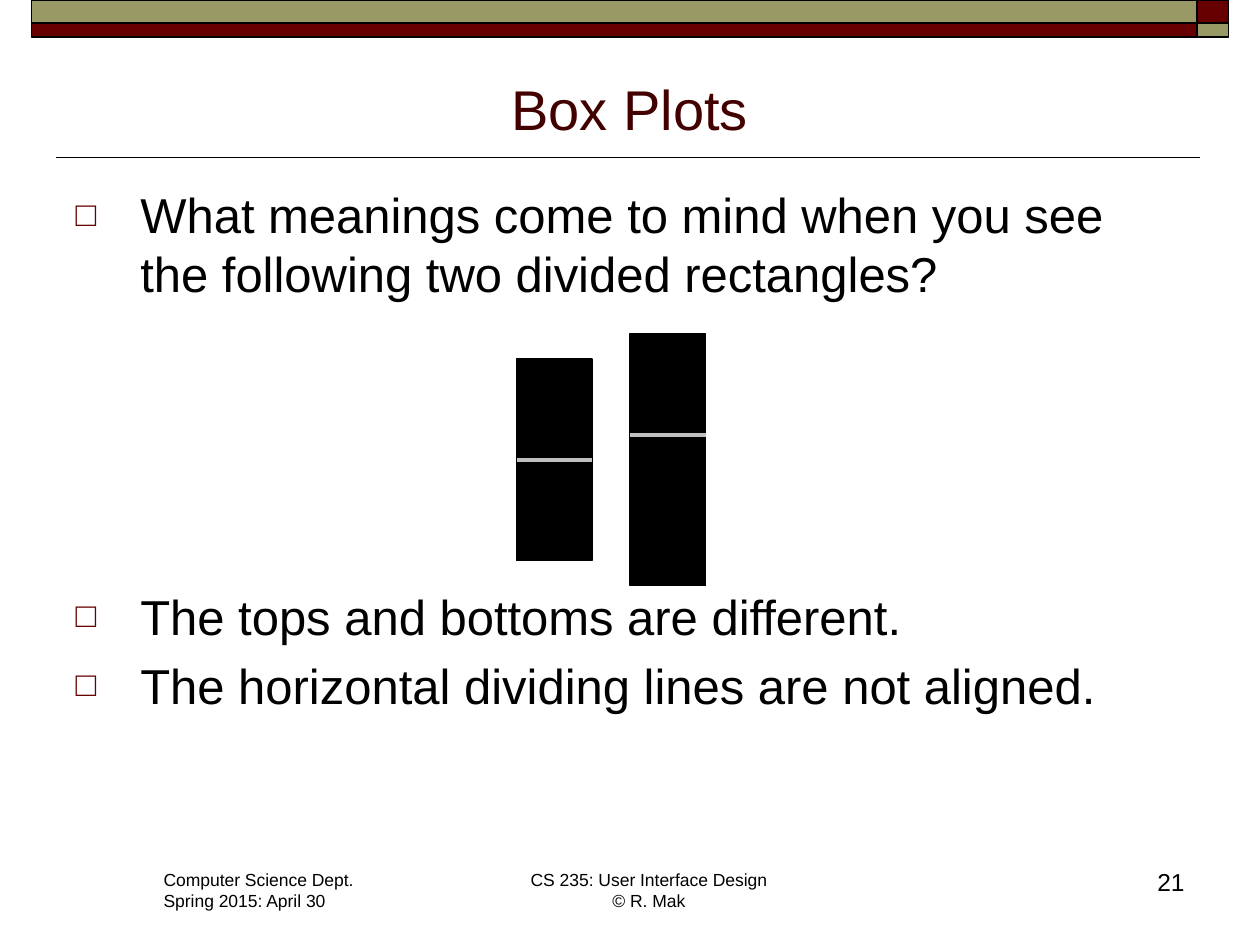
from lxml import etree
from pptx import Presentation
from pptx.dml.color import RGBColor
from pptx.enum import shapes, text
from pptx.oxml import ns
from pptx.util import Pt

BLACK = RGBColor(0, 0, 0)
WINE = RGBColor(0x66, 0, 0)
DARK = RGBColor(0x42, 0, 0)
OLIVE = RGBColor(0x99, 0x99, 0x66)
GRAY = RGBColor(0xBF, 0xBF, 0xBF)
FONT = "Arial"
ALIGN = text.PP_ALIGN

POINTS = (
    # text, space before
    ("What meanings come to mind when you see the following two divided rectangles?", 0),
    ("The tops and bottoms are different.", 162.4),
    ("The horizontal dividing lines are not aligned.", 5.6),
)


def add_rect(slide, x, y, w, h, fill, width):
    box = slide.shapes.add_shape(
        shapes.MSO_SHAPE.RECTANGLE, Pt(x), Pt(y), Pt(w), Pt(h))
    box.shadow.inherit = False
    box.fill.solid()
    box.fill.fore_color.rgb = fill
    box.line.color.rgb = BLACK
    box.line.width = Pt(width)


def add_line(slide, x, y, end, color, width):
    """Draw a level line from x to end."""
    line = slide.shapes.add_connector(
        shapes.MSO_CONNECTOR.STRAIGHT, Pt(x), Pt(y), Pt(end), Pt(y))
    line.line.color.rgb = color
    line.line.width = Pt(width)
    etree.SubElement(line._element.spPr, ns.qn("a:effectLst"))


def style(para, size, color, align):
    para.alignment = align
    for run in para.runs:
        run.font.name = FONT
        run.font.size = Pt(size)
        run.font.color.rgb = color


def add_note(slide, x, y, w, h, words, size, align, wrap=False):
    box = slide.shapes.add_textbox(Pt(x), Pt(y), Pt(w), Pt(h))
    frame = box.text_frame
    frame.word_wrap = wrap
    frame.text = words
    for para in frame.paragraphs:
        style(para, size, BLACK, align)


def place(holder, x, y, w, h, anchor):
    holder.left, holder.top = Pt(x), Pt(y)
    holder.width, holder.height = Pt(w), Pt(h)
    frame = holder.text_frame
    frame.auto_size = text.MSO_AUTO_SIZE.NONE
    frame.vertical_anchor = anchor
    return frame


def add_bullet(para):
    props = para._p.get_or_add_pPr()
    props.set("marL", str(Pt(37)))
    props.set("indent", str(Pt(-37)))
    color = etree.SubElement(props, ns.qn("a:buClr"))
    etree.SubElement(color, ns.qn("a:srgbClr"), val=str(WINE))
    etree.SubElement(props, ns.qn("a:buSzPct"), val="70000")
    etree.SubElement(props, ns.qn("a:buFont"), typeface=FONT)
    etree.SubElement(props, ns.qn("a:buChar"), char="□")


def add_frame(slide):
    """Draw the top bands, the title rule and the footer."""
    for x, w, colors in ((18, 666, (OLIVE, WINE)), (684, 18, (WINE, OLIVE))):
        for y, h, fill in zip((0, 13), (13, 8), colors):
            add_rect(slide, x, y, w, h, fill, 1)
    add_line(slide, 32, 90, 686, BLACK, 1)
    add_note(slide, 86.4, 493, 124.6, 31.5,
             "Computer Science Dept.\nSpring 2015: April 30", 10, ALIGN.LEFT)
    add_note(slide, 295, 493, 151.5, 31.5,
             "CS 235: User Interface Design\v© R. Mak", 10, ALIGN.CENTER)
    add_note(slide, 534, 492, 150, 36, "21", 14, ALIGN.RIGHT, True)


def add_title(slide):
    frame = place(slide.shapes.title, 36, 32.4, 648, 52,
                  text.MSO_ANCHOR.BOTTOM)
    frame.text = "Box Plots"
    style(frame.paragraphs[0], 32, DARK, ALIGN.CENTER)


def add_list(slide):
    frame = place(slide.placeholders[1], 36, 102, 648, 369.6,
                  text.MSO_ANCHOR.TOP)
    frame.text = "\n".join(words for words, _ in POINTS)
    for para, (_, gap) in zip(frame.paragraphs, POINTS):
        add_bullet(para)
        para.space_before = Pt(gap)
        para.line_spacing = Pt(33.6)
        style(para, 28, BLACK, ALIGN.LEFT)


def add_plots(slide):
    wide = 43.2
    plots = ((295.2, 205.2, 115.2), (360, 190.8, 144))
    for x, y, h in plots:
        add_rect(slide, x, y, wide, h, BLACK, 0.75)
    for x, y, _ in plots:
        add_line(slide, x, y + 57.6, x + wide, GRAY, 2.25)


def main():
    deck = Presentation()
    deck.slide_width, deck.slide_height = Pt(720), Pt(540)
    slide = deck.slides.add_slide(deck.slide_layouts[1])
    add_frame(slide)
    add_title(slide)
    add_list(slide)
    add_plots(slide)
    deck.save("out.pptx")


if __name__ == "__main__":
    main()
